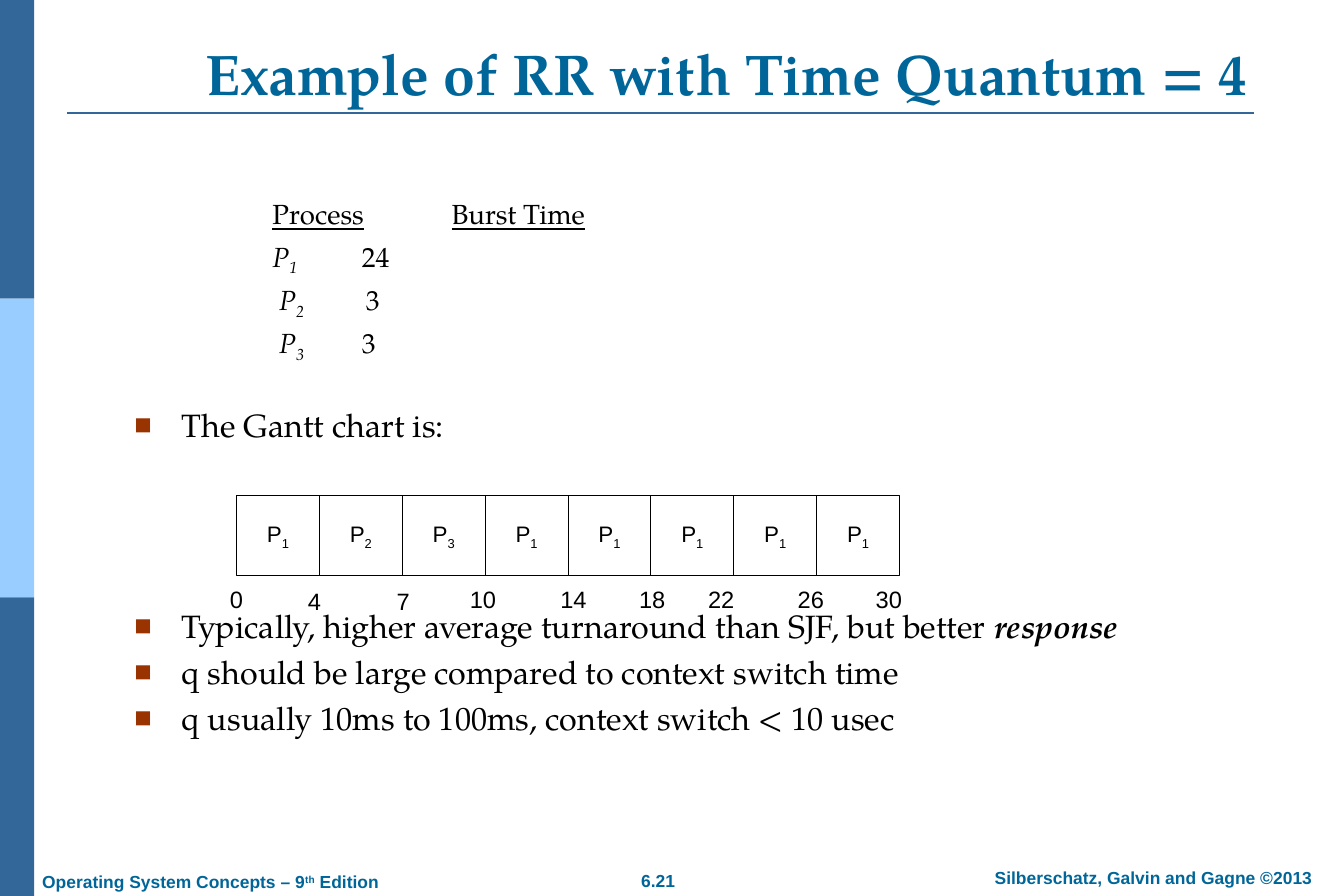
from lxml import etree
from pptx import Presentation
from pptx.dml.color import RGBColor
from pptx.enum.shapes import MSO_CONNECTOR, MSO_SHAPE
from pptx.enum.text import MSO_ANCHOR, PP_ALIGN
from pptx.oxml.ns import qn
from pptx.util import Inches, Pt

RECT, STRAIGHT = MSO_SHAPE.RECTANGLE, MSO_CONNECTOR.STRAIGHT
LEFT, CENTER = PP_ALIGN.LEFT, PP_ALIGN.CENTER
TOP, MIDDLE, BOTTOM = MSO_ANCHOR.TOP, MSO_ANCHOR.MIDDLE, MSO_ANCHOR.BOTTOM

COLORS = {"heading": "006699", "band": "336699", "band_light": "99CCFF",
          "bullet": "993300", "ink": "000000", "paper": "FFFFFF"}
SERIF, SANS = "TeX Gyre Pagella", "Arial"
SUB, SUPER = -25000, 30000
BODY = {"font": SERIF, "line_spacing": 0.8}

# Each paragraph is a list of (text, run format) pairs
PROCESSES = [
    [("Process", {"underline": True}), ("\t", {}), ("Burst Time", {"underline": True})],
    [("P", {"italic": True}), ("1\t", {"italic": True, "baseline": SUB}), ("24", {})],
    [(" P", {"italic": True}), ("2\t ", {"italic": True, "baseline": SUB}), ("3", {})],
    [(" P", {"italic": True}), ("3\t", {"italic": True, "baseline": SUB}), ("3", {})],
]
REMARKS = [
    [("Typically, higher average turnaround than SJF, but better ", {}),
     ("response", {"bold": True, "italic": True})],
    [("q should be large compared to context switch time", {})],
    [("q usually 10ms to 100ms, context switch < 10 usec", {})],
]
GANTT_ORDER = [1, 2, 3, 1, 1, 1, 1, 1]
# Time -> label centre, measured from the left edge of the chart
GANTT_TIMES = {0: 0, 4: 0.87, 7: 1.86, 10: 2.75, 14: 3.76,
               18: 4.64, 22: 5.41, 26: 6.41, 30: 7.28}


def rgb(name):
    return RGBColor.from_string(COLORS[name])


def add_child(parent, tag, **attributes):
    return etree.SubElement(parent, qn(tag), attributes)


def write(shape, paragraphs, size, font=SANS, color="ink", bold=False, align=LEFT,
          anchor=TOP, wrap=True, inset=(0.14, 0.07), before=0, line_spacing=1.0,
          bullet=False, tabs=()):
    """Fill a shape with formatted paragraphs."""
    frame = shape.text_frame
    frame.word_wrap, frame.vertical_anchor = wrap, anchor
    frame.margin_left = frame.margin_right = Inches(inset[0])
    frame.margin_top = frame.margin_bottom = Inches(inset[1])
    for index, runs in enumerate(paragraphs):
        paragraph = frame.add_paragraph() if index else frame.paragraphs[0]
        paragraph.alignment = align
        paragraph.line_spacing = line_spacing
        paragraph.space_before = Pt(before)
        props = paragraph._p.get_or_add_pPr()
        if bullet:
            props.set("marL", str(Inches(0.53)))
            props.set("indent", str(-Inches(0.53)))
            add_child(add_child(props, "a:buClr"), "a:srgbClr", val=COLORS["bullet"])
            add_child(props, "a:buSzPct", val="90000")
            add_child(props, "a:buFont", typeface=SANS)
            add_child(props, "a:buChar", char="■")
        if tabs:
            stops = add_child(props, "a:tabLst")
            add_child(stops, "a:tab", pos=str(Inches(tabs[index])), algn="l")
        for text, style in runs:
            run = paragraph.add_run()
            run.text = text
            run.font.name, run.font.size = font, Pt(size)
            run.font.color.rgb = rgb(color)
            run.font.bold = style.get("bold", bold)
            run.font.italic = style.get("italic", False)
            run.font.underline = style.get("underline", False)
            if "baseline" in style:
                run._r.get_or_add_rPr().set("baseline", str(style["baseline"]))


def add_text(slide, box, paragraphs, **style):
    write(slide.shapes.add_textbox(*map(Inches, box)), paragraphs, **style)


def add_block(slide, box, fill, line=None):
    block = slide.shapes.add_shape(RECT, *map(Inches, box))
    block.shadow.inherit = False
    block.fill.solid()
    block.fill.fore_color.rgb = rgb(fill)
    if line:
        block.line.color.rgb = rgb(line)
        block.line.width = Pt(0.75)
    else:
        block.line.fill.background()
    return block


def add_side_band(slide, left, top, width, height):
    third = height / 3
    for row, fill in enumerate(("band", "band_light", "band")):
        add_block(slide, (left, top + row * third, width, third), fill)


def add_title(slide, left, top, width, height):
    bottom = Inches(top + height)
    rule = slide.shapes.add_connector(STRAIGHT, Inches(0.75), bottom, Inches(14), bottom)
    rule.line.color.rgb = rgb("band")
    rule.line.width = Pt(1.5)
    add_child(rule._element.spPr, "a:effectLst")
    add_text(slide, (left, top, width, height),
             [[("Example of RR with Time Quantum = 4", {})]],
             size=46, font=SERIF, color="heading", bold=True, align=CENTER, anchor=BOTTOM)


def add_footer(slide, left, top, width, height):
    style = {"size": 14, "color": "heading", "bold": True}
    edition = [("Operating System Concepts – 9", {}), ("th", {"baseline": SUPER}),
               (" Edition", {})]
    add_text(slide, (left, top + 0.04, 4.05, height), [edition], wrap=False, **style)
    add_text(slide, (left + 6.32, top + 0.03, 1.39, height), [[("6.21", {})]],
             align=CENTER, **style)
    add_text(slide, (left + width - 4.45, top, 4.45, height),
             [[("Silberschatz, Galvin and Gagne ©2013", {})]], align=CENTER, **style)


def add_body(slide, left, top, width):
    add_text(slide, (left + 1.54, top, 5, 2), PROCESSES, size=22.2, before=10.5,
             tabs=(2, 1, 1, 1), **BODY)
    add_text(slide, (left, top + 2.34, width, 0.5), [[("The Gantt chart is:", {})]],
             size=25.9, bullet=True, **BODY)
    add_text(slide, (left, top + 4.58, width, 1.6), REMARKS, size=25.9, before=12.2,
             bullet=True, **BODY)


def add_gantt(slide, left, top, width, height):
    style = {"align": CENTER, "anchor": MIDDLE, "inset": (0.1, 0.05), "wrap": False}
    step = width / len(GANTT_ORDER)
    for column, process in enumerate(GANTT_ORDER):
        cell = add_block(slide, (left + column * step, top, step, height), "paper", "ink")
        write(cell, [[("P", {}), (str(process), {"baseline": SUB})]], size=18, **style)
    # Time marks below the cells
    for time, center in GANTT_TIMES.items():
        drop = 0.02 if time in (4, 7) else 0
        add_text(slide, (left + center - 0.25, top + height + 0.06 + drop, 0.5, 0.42),
                 [[(str(time), {})]], size=19, **style)


def main():
    deck = Presentation()
    deck.slide_width, deck.slide_height = Inches(15), Inches(10)
    slide = deck.slides.add_slide(deck.slide_layouts[6])
    add_side_band(slide, 0, 0, 0.38, 10)
    add_footer(slide, 0.33, 9.61, 14.77, 0.38)
    add_title(slide, 1.5, 0.03, 13.21, 1.23)
    add_body(slide, 1.36, 2.2, 12.06)
    add_gantt(slide, 2.64, 5.53, 7.4, 0.89)
    deck.save("out.pptx")


if __name__ == "__main__":
    main()
